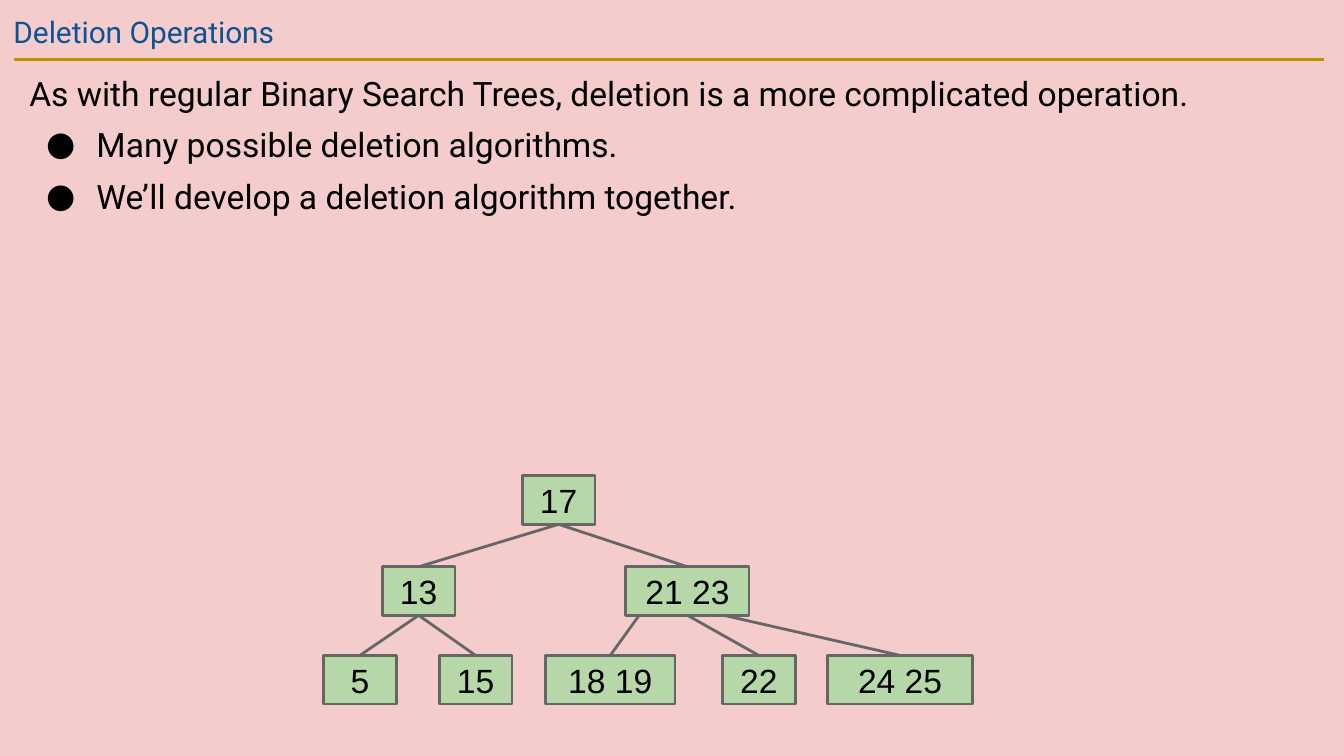
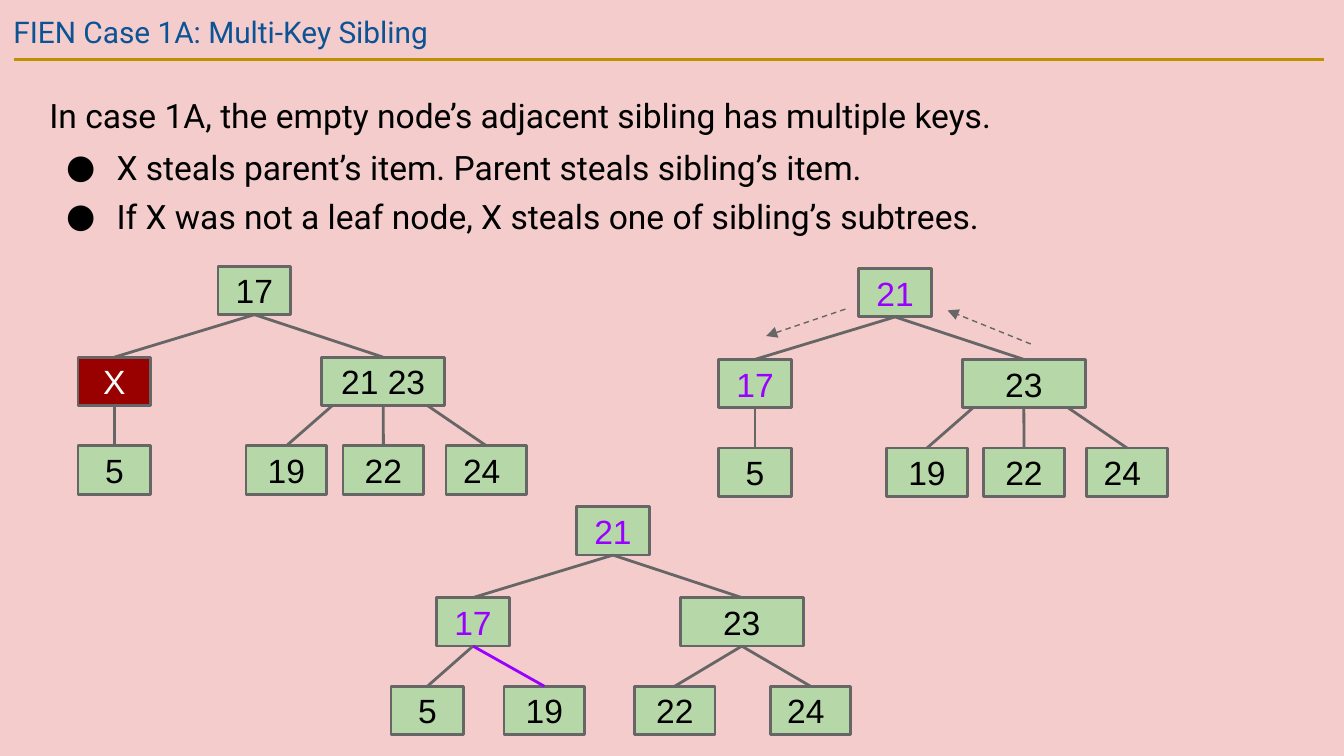
import pptx
import pptx.dml.color
import pptx.enum.dml
import pptx.enum.shapes
import pptx.enum.text
import pptx.oxml
import pptx.oxml.ns
import pptx.util
import lxml.etree

Pt = pptx.util.Pt
RGB = pptx.dml.color.RGBColor.from_string
qn = pptx.oxml.ns.qn
ALIGN = pptx.enum.text.PP_ALIGN
ANCHOR = pptx.enum.text.MSO_ANCHOR

COLORS = {
    "background": "F4CCCC",
    "rule": "BF9000",
    "title": "0B5394",
    "text": "000000",
    "node": "B6D7A8",
    "edge": "666666",
    "empty": "990000",
    "empty_text": "FFFFFF",
    "moved": "9900FF",
}
FRAME = {
    "margin_left": Pt(7.2),
    "margin_right": Pt(7.2),
    "margin_top": Pt(7.2),
    "margin_bottom": Pt(7.2),
    "word_wrap": True,
    "auto_size": pptx.enum.text.MSO_AUTO_SIZE.NONE,
}
TITLE_FONT = {"name": "Roboto", "size": Pt(16), "bold": False}
BODY_FONT = {"name": "Roboto", "size": Pt(18)}
NODE_FONT = {"name": "Arial", "size": Pt(18)}

NODE_HEIGHT = 26
KEY_WIDTH = 39
WIDE_KEY_WIDTH = 43.2
CHILD_WIDTH = 66
LEFT_CHILD, RIGHT_CHILD = -75, 55.5
CHILD_DROP, LEAF_DROP = 48.75, 96.25

SPREAD_LEAVES = [
    ("5", -75, KEY_WIDTH, "left", None, "edge"),
    ("19", 15, WIDE_KEY_WIDTH, "right", 61.2, "edge"),
    ("22", 67, WIDE_KEY_WIDTH, "right", None, "edge"),
    ("24 ", 122.2, WIDE_KEY_WIDTH, "right", 112.3, "edge"),
]
SLIDES = [
    {
        "title": "Deletion Operations",
        "bodies": [
            (8.6, 31.7, 671, 269, [
                ("As with regular Binary Search Trees, deletion is a more complicated operation.", False),
                ("Many possible deletion algorithms.", True),
                ("We’ll develop a deletion algorithm together.", True),
            ]),
        ],
        "trees": [
            {
                "at": (279.8, 254.9),
                "root": ("17", "node", "text"),
                "left": ("13", "node", "text"),
                "right": ("21 23", "node", "text"),
                "leaves": [
                    ("5", -106.5, KEY_WIDTH, "left", None, "edge"),
                    ("15", -44.5, KEY_WIDTH, "left", None, "edge"),
                    ("18 19", 12.4, 69.5, "right", 62.6, "edge"),
                    ("22", 107.2, KEY_WIDTH, "right", None, "edge"),
                    ("24 25", 163.4, 78, "right", 108, "edge"),
                ],
            },
        ],
        "arrows": [],
    },
    {
        "title": "FIEN Case 1A: Multi-Key Sibling",
        "bodies": [
            (19.4, 43.9, 664.6, 123, [
                ("In case 1A, the empty node’s adjacent sibling has multiple keys.", False),
                ("X steals parent’s item. Parent steals sibling’s item.", True),
            ]),
            (19.4, 97.9, 664.6, 36.7, [
                ("If X was not a leaf node, X steals one of sibling’s subtrees.", True),
            ]),
        ],
        "trees": [
            {
                "at": (116.8, 142.6),
                "root": ("17", "node", "text"),
                "left": ("X", "empty", "empty_text"),
                "right": ("21 23", "node", "text"),
                "leaves": SPREAD_LEAVES,
            },
            {
                "at": (460, 143.8),
                "root": ("21", "node", "moved"),
                "left": ("17", "node", "moved"),
                "right": ("23", "node", "text"),
                "leaves": SPREAD_LEAVES,
            },
            {
                "at": (308.9, 271.4),
                "root": ("21", "node", "moved"),
                "left": ("17", "node", "moved"),
                "right": ("23", "node", "text"),
                "leaves": [
                    ("5", -99.4, KEY_WIDTH, "left", None, "edge"),
                    ("19", -38.9, WIDE_KEY_WIDTH, "left", None, "moved"),
                    ("22", 31, WIDE_KEY_WIDTH, "right", None, "edge"),
                    ("24 ", 103.7, WIDE_KEY_WIDTH, "right", None, "edge"),
                ],
            },
        ],
        "arrows": [
            (452.9, 165.6, 410.4, 180),
            (552.2, 184.3, 507.6, 166.3),
        ],
    },
]


def write_text(paragraph, text, font, color):
    paragraph.text = text
    for name, value in font.items():
        setattr(paragraph.runs[0].font, name, value)
    paragraph.runs[0].font.color.rgb = RGB(COLORS[color])


def add_line(slide, start_x, start_y, end_x, end_y, color, weight=1.5):
    connector = slide.shapes.add_connector(
        pptx.enum.shapes.MSO_CONNECTOR.STRAIGHT,
        Pt(start_x), Pt(start_y), Pt(end_x), Pt(end_y))
    connector.line.color.rgb = RGB(COLORS[color])
    connector.line.width = Pt(weight)
    lxml.etree.SubElement(connector._element.spPr, qn("a:effectLst"))
    return connector


presentation = pptx.Presentation()
presentation.slide_width = Pt(720)
presentation.slide_height = Pt(405)
background = presentation.slide_master.background.fill
background.solid()
background.fore_color.rgb = RGB(COLORS["background"])

for content in SLIDES:
    slide = presentation.slides.add_slide(presentation.slide_layouts[5])
    add_line(slide, 7.5, 31.8, 709.5, 31.8, "rule")

    title = slide.shapes.title
    title.left, title.top, title.width, title.height = Pt(0), Pt(0), Pt(671), Pt(31)
    for name, value in {**FRAME, "vertical_anchor": ANCHOR.TOP}.items():
        setattr(title.text_frame, name, value)
    write_text(title.text_frame.paragraphs[0], content["title"], TITLE_FONT, "title")
    title.text_frame.paragraphs[0].alignment = ALIGN.LEFT

    for left, top, width, height, lines in content["bodies"]:
        body = slide.shapes.add_textbox(Pt(left), Pt(top), Pt(width), Pt(height))
        for name, value in FRAME.items():
            setattr(body.text_frame, name, value)
        for index, (text, bulleted) in enumerate(lines):
            if index == 0:
                paragraph = body.text_frame.paragraphs[0]
            else:
                paragraph = body.text_frame.add_paragraph()
                paragraph.space_before = Pt(6)
            if bulleted:
                properties = paragraph._p.get_or_add_pPr()
                properties.set("marL", str(Pt(36)))
                properties.set("indent", str(Pt(-27)))
                bullet_color = lxml.etree.SubElement(properties, qn("a:buClr"))
                lxml.etree.SubElement(bullet_color, qn("a:srgbClr"), val=COLORS["text"])
                lxml.etree.SubElement(properties, qn("a:buFont"), typeface="Roboto")
                lxml.etree.SubElement(properties, qn("a:buChar"), char="●")
            write_text(paragraph, text, BODY_FONT, "text")

    for tree in content["trees"]:
        root_left, root_top = tree["at"]
        placements = [
            ("root", *tree["root"], 0, 0, KEY_WIDTH),
            ("left", *tree["left"], LEFT_CHILD, CHILD_DROP, KEY_WIDTH),
            ("right", *tree["right"], RIGHT_CHILD, CHILD_DROP, CHILD_WIDTH),
        ]
        edges = [("root", "left", None, "edge"), ("root", "right", None, "edge")]
        for label, offset, width, parent, start, color in tree["leaves"]:
            placements.append((label, label, "node", "text", offset, LEAF_DROP, width))
            edges.append((parent, label, start, color))

        nodes = {}
        for key, label, fill, color, offset, drop, width in placements:
            node = slide.shapes.add_shape(
                pptx.enum.shapes.MSO_SHAPE.RECTANGLE,
                Pt(root_left + offset), Pt(root_top + drop), Pt(width), Pt(NODE_HEIGHT))
            node.shadow.inherit = False
            node.fill.solid()
            node.fill.fore_color.rgb = RGB(COLORS[fill])
            node.line.color.rgb = RGB(COLORS["edge"])
            node.line.width = Pt(1.5)
            for name, value in {**FRAME, "vertical_anchor": ANCHOR.MIDDLE}.items():
                setattr(node.text_frame, name, value)
            write_text(node.text_frame.paragraphs[0], label, NODE_FONT, color)
            node.text_frame.paragraphs[0].alignment = ALIGN.CENTER
            nodes[key] = node

        for parent, child, start, color in edges:
            start_x = root_left + (start or 0)
            start_y = root_top + CHILD_DROP + NODE_HEIGHT
            edge = add_line(slide, start_x, start_y, start_x, start_y, color)
            if start is None:
                edge.begin_connect(nodes[parent], 2)
            edge.end_connect(nodes[child], 0)

    for points in content["arrows"]:
        arrow = add_line(slide, *points, "edge", 0.75)
        arrow.line.dash_style = pptx.enum.dml.MSO_LINE.DASH
        lxml.etree.SubElement(arrow.line._get_or_add_ln(), qn("a:tailEnd"), type="triangle")

presentation.save("out.pptx")
